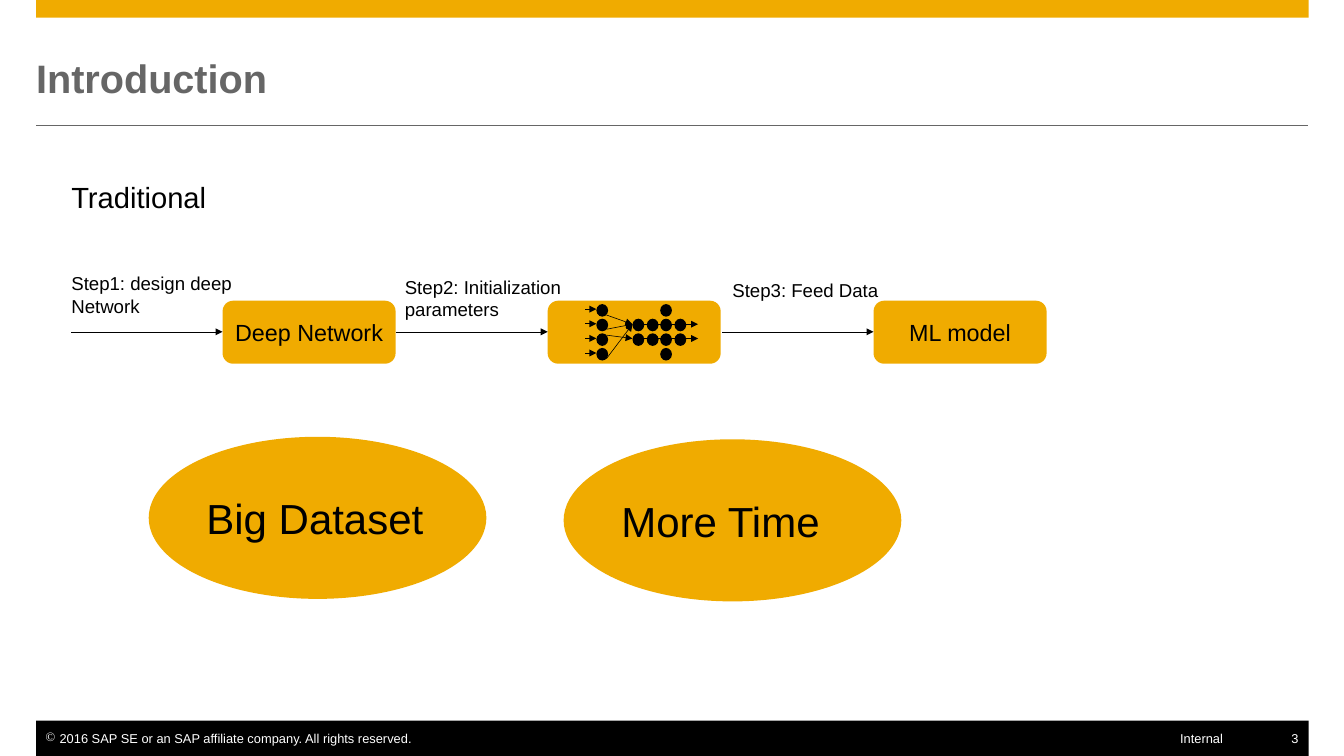
from dataclasses import dataclass

import pptx
import pptx.dml.color
import pptx.enum.shapes
import pptx.enum.text
import pptx.oxml
import pptx.oxml.ns
import pptx.util
from pptx.util import Inches

ALIGN = pptx.enum.text.PP_ALIGN
ANCHOR = pptx.enum.text.MSO_ANCHOR
PRESET = pptx.enum.shapes.MSO_SHAPE


@dataclass(frozen=True)
class Theme:
    gold: str = "F0AB00"
    black: str = "000000"
    white: str = "FFFFFF"
    gray: str = "666666"
    font: str = "Arial"
    title: int = 34
    heading: int = 25
    ellipse: int = 36
    box: int = 20
    step: int = 16
    footer: int = 11
    line: float = 0.5


@dataclass(frozen=True)
class Stage:
    box_left: float
    box_text: str
    label_left: float
    label_top: float
    label_height: float
    label: str


@dataclass(frozen=True)
class Drawback:
    left: float
    top: float
    text: str


THEME = Theme()
BOX_INSETS = (0.1, 0.08, 0.1, 0.08)
ARROW_LENGTH = 1.8
FLOW_Y = 3.95
STAGES = [
    Stage(2.65, "Deep Network", 0.85, 3.24, 0.54, "Step1: design deep Network"),
    Stage(6.52, "", 4.82, 3.28, 0.54, "Step2: Initialization parameters"),
    Stage(10.4, "ML model", 8.72, 3.32, 0.27, "Step3: Feed Data"),
]
DRAWBACKS = [Drawback(1.77, 5.2, "Big Dataset"), Drawback(6.71, 5.23, "More Time")]


def rgb(color: str):
    return pptx.dml.color.RGBColor.from_string(color)


def write_text(shape, text: str, *, size: float, color: str = THEME.black,
               bold: bool = False, align=ALIGN.LEFT, anchor=ANCHOR.TOP,
               insets=(0, 0, 0, 0), wrap: bool = True, bullet: str = "") -> None:
    frame = shape.text_frame
    frame.word_wrap = wrap
    frame.vertical_anchor = anchor
    (frame.margin_left, frame.margin_top,
     frame.margin_right, frame.margin_bottom) = map(Inches, insets)
    para = frame.paragraphs[0]
    para.alignment = align
    if bullet:
        properties = para._p.get_or_add_pPr()
        properties.set("marL", str(Inches(0.17)))
        properties.set("indent", str(-Inches(0.17)))
        mark = pptx.oxml.parse_xml(
            f'<a:buChar {pptx.oxml.ns.nsdecls("a")} char="{bullet}"/>')
        properties.append(mark)
    span = para.add_run()
    span.text = text
    span.font.name = THEME.font
    span.font.size = pptx.util.Pt(size)
    span.font.bold = bold
    span.font.color.rgb = rgb(color)


def add_text(page, left: float, top: float, width: float, height: float,
             text: str, **text_format) -> None:
    box = page.shapes.add_textbox(*map(Inches, (left, top, width, height)))
    write_text(box, text, **text_format)


def add_solid(page, preset, left: float, top: float, width: float, height: float,
              color: str):
    shape = page.shapes.add_shape(preset, *map(Inches, (left, top, width, height)))
    shape.shadow.inherit = False
    shape.fill.solid()
    shape.fill.fore_color.rgb = rgb(color)
    shape.line.fill.background()
    return shape


def add_line(page, start: tuple[float, float], end: tuple[float, float],
             color: str = THEME.black, arrow: bool = True) -> None:
    line = page.shapes.add_connector(
        pptx.enum.shapes.MSO_CONNECTOR.STRAIGHT, *map(Inches, start + end))
    line.line.color.rgb = rgb(color)
    line.line.width = pptx.util.Pt(THEME.line)
    namespace = pptx.oxml.ns.nsdecls("a")
    if arrow:
        line.line._get_or_add_ln().append(
            pptx.oxml.parse_xml(f'<a:tailEnd {namespace} type="triangle"/>'))
    line._element.spPr.append(pptx.oxml.parse_xml(f"<a:effectLst {namespace}/>"))


def add_frame(page) -> None:
    """Draw the bars, title and footer around the content."""
    add_solid(page, PRESET.RECTANGLE, 0.43, 0, 15.15, 0.21, THEME.gold)
    add_line(page, (0.43, 1.49), (15.57, 1.49), THEME.gray, arrow=False)
    add_solid(page, PRESET.RECTANGLE, 0.43, 8.58, 15.15, 0.43, THEME.black)
    footer = {"size": THEME.footer, "color": THEME.white}
    add_text(page, 0.43, 8.7, 4.54, 0.19,
             "2016 SAP SE or an SAP affiliate company. All rights reserved.",
             insets=(0.11, 0, 0, 0), wrap=False, bullet="©", **footer)
    add_text(page, 15.27, 8.7, 0.3, 0.19, "3", align=ALIGN.RIGHT,
             insets=(0, 0, 0.11, 0), **footer)
    add_text(page, 12.91, 8.7, 1.65, 0.19, "Internal", align=ALIGN.RIGHT, **footer)
    add_text(page, 0.43, 0.43, 15.15, 0.99, "Introduction", size=THEME.title,
             color=THEME.gray, bold=True, anchor=ANCHOR.MIDDLE)


def add_stage(page, stage: Stage) -> None:
    box = add_solid(page, PRESET.ROUNDED_RECTANGLE, stage.box_left, 3.58, 2.06, 0.75,
                    THEME.gold)
    if stage.box_text:
        write_text(box, stage.box_text, size=THEME.box, align=ALIGN.CENTER,
                   anchor=ANCHOR.MIDDLE, insets=BOX_INSETS)
    add_line(page, (stage.box_left - ARROW_LENGTH, FLOW_Y), (stage.box_left, FLOW_Y))
    add_text(page, stage.label_left, stage.label_top, 2.56, stage.label_height,
             stage.label, size=THEME.step)


def add_neural_network(page) -> None:
    all_rows, middle_rows = range(4), (1, 2)
    layers = [(7.1, all_rows), (7.53, middle_rows), (7.7, middle_rows),
              (7.86, all_rows), (8.03, middle_rows)]
    for left, rows in layers:
        for row in rows:
            add_solid(page, PRESET.OVAL, left, 3.62 + 0.174 * row, 0.14, 0.15,
                      THEME.black)
    for start_y, end_y in [(3.75, 3.86), (3.92, 3.86), (3.99, 4.03), (4.27, 3.86)]:
        add_line(page, (7.22, start_y), (7.53, end_y))
    for row in all_rows:
        y = 3.68 + 0.174 * row
        add_line(page, (6.97, y), (7.1, y))
    for y in (3.86, 4.03):
        add_line(page, (7.67, y), (8.31, y))


def main() -> None:
    deck = pptx.Presentation()
    deck.slide_width, deck.slide_height = Inches(16), Inches(9)
    page = deck.slides.add_slide(deck.slide_layouts[6])
    add_frame(page)
    add_text(page, 0.75, 2.09, 1.82, 0.52, "Traditional", size=THEME.heading,
             insets=(0.1, 0.05, 0.1, 0.05), wrap=False)
    for stage in STAGES:
        add_stage(page, stage)
    add_neural_network(page)
    for drawback in DRAWBACKS:
        ellipse = add_solid(page, PRESET.OVAL, drawback.left, drawback.top, 4.02, 1.93,
                            THEME.gold)
        write_text(ellipse, drawback.text, size=THEME.ellipse, anchor=ANCHOR.MIDDLE,
                   insets=BOX_INSETS)
    deck.save("out.pptx")


if __name__ == "__main__":
    main()
